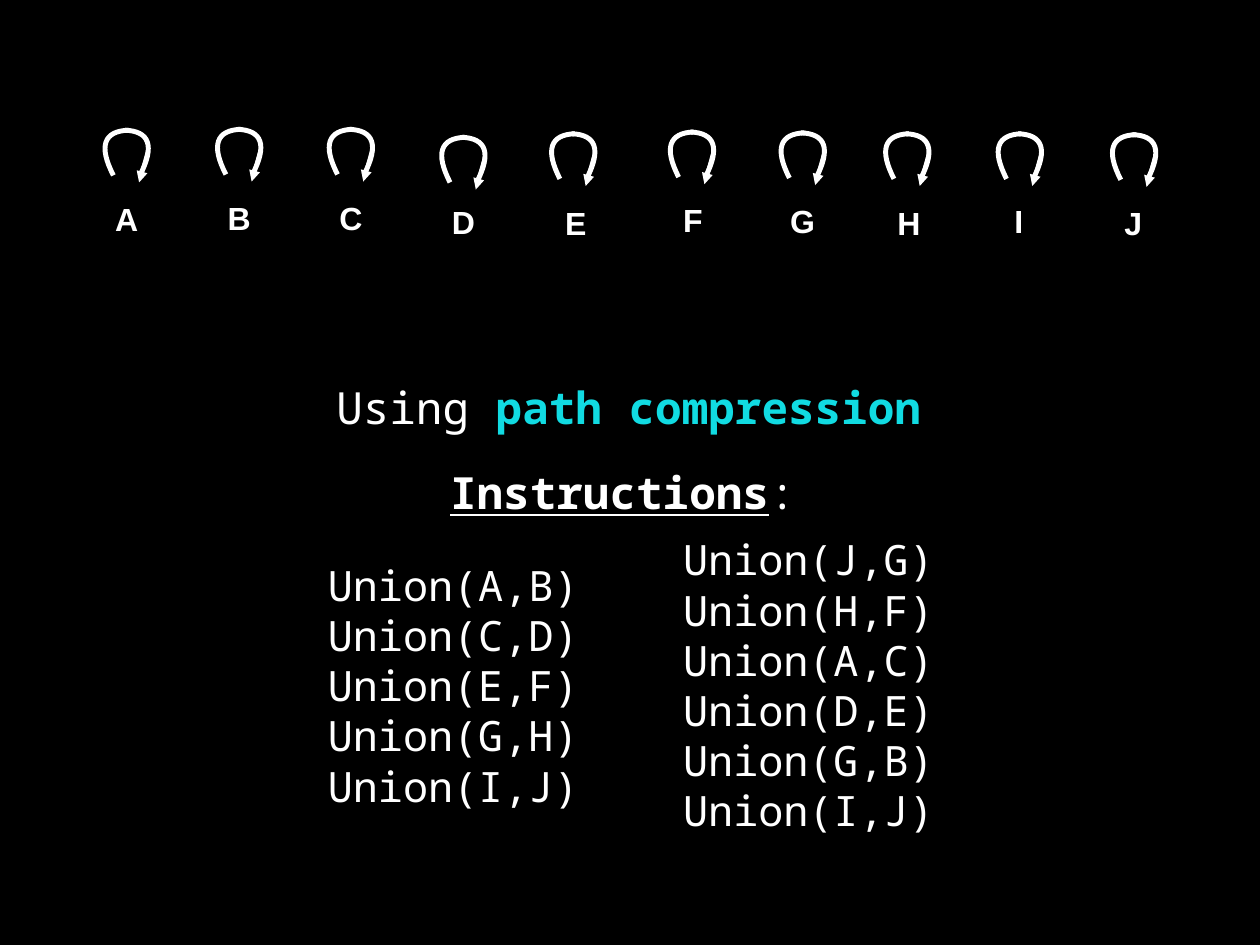
from dataclasses import dataclass

import lxml.etree
import pptx
import pptx.dml.color
import pptx.enum.shapes
import pptx.enum.text
import pptx.oxml.ns
import pptx.shapes.autoshape
import pptx.slide
import pptx.text.text
import pptx.util

Inches = pptx.util.Inches
RGBColor = pptx.dml.color.RGBColor
ALIGN = pptx.enum.text.PP_ALIGN
qn = pptx.oxml.ns.qn


@dataclass(frozen=True)
class Theme:
    background: RGBColor = RGBColor(0x00, 0x00, 0x00)
    foreground: RGBColor = RGBColor(0xFF, 0xFF, 0xFF)
    accent: RGBColor = RGBColor(0x11, 0xDB, 0xE2)
    code_font: str = "Noto Sans Mono"
    label_font: str = "Arial"
    heading_size: int = 36
    list_size: int = 34
    label_size: int = 26
    loop_width: int = 4
    arrow_width: int = 3


@dataclass(frozen=True)
class Node:
    name: str
    left: float
    top: float
    loop_center: float
    loop_top: float


@dataclass(frozen=True)
class Box:
    left: float
    top: float
    width: float
    height: float


@dataclass(frozen=True)
class Span:
    text: str
    color: RGBColor | None = None
    bold: bool = False
    underline: bool = False


THEME = Theme()
NODE_SIZE = 0.7
MARGIN = 0.06
LOOP_START = (-0.02, 0)
LOOP_WIDEST = (0.24, 0.25)
LOOP_END = (0.15, 0.51)
LOOP_HANDLES = ((0.26, 0.01), (0.32, 0.18))
ARROW_START = (0.24, 0.23)
ARROW_END = (0.14, 0.59)

NODES = (
    Node("A", 1.08, 2.12, 1.43, 1.47),
    Node("B", 2.35, 2.11, 2.7, 1.46),
    Node("C", 3.61, 2.11, 3.96, 1.46),
    Node("D", 4.88, 2.15, 5.23, 1.55),
    Node("E", 6.15, 2.16, 6.47, 1.51),
    Node("F", 7.47, 2.13, 7.81, 1.49),
    Node("G", 8.71, 2.14, 9.06, 1.5),
    Node("H", 9.91, 2.16, 10.24, 1.51),
    Node("I", 11.15, 2.14, 11.51, 1.51),
    Node("J", 12.44, 2.16, 12.8, 1.52),
)

TITLE_BOX = Box(3.72, 4.25, 6.75, 0.68)
TITLE = (Span("Using "), Span("path compression", THEME.accent, bold=True))
HEADING_BOX = Box(5.01, 5.21, 4.04, 0.68)
HEADING = (Span("Instructions", bold=True, underline=True), Span(":"))
UNION_LISTS = (
    (Box(3.64, 6.29, 3.82, 2.89), ("AB", "CD", "EF", "GH", "IJ")),
    (Box(7.65, 6.01, 4.34, 3.44), ("JG", "HF", "AC", "DE", "GB", "IJ")),
)


def place(shape: pptx.shapes.autoshape.Shape, box: Box) -> None:
    shape.left, shape.top = Inches(box.left), Inches(box.top)
    shape.width, shape.height = Inches(box.width), Inches(box.height)


def format_frame(frame: pptx.text.text.TextFrame, wrap: bool, grow: bool) -> None:
    frame.margin_left = frame.margin_right = Inches(MARGIN)
    frame.margin_top = frame.margin_bottom = Inches(MARGIN)
    frame.vertical_anchor = pptx.enum.text.MSO_ANCHOR.MIDDLE
    frame.word_wrap = wrap
    sizing = pptx.enum.text.MSO_AUTO_SIZE
    frame.auto_size = sizing.SHAPE_TO_FIT_TEXT if grow else sizing.NONE


def set_font(para: pptx.text.text._Paragraph, name: str, size: int) -> None:
    para.font.name = name
    para.font.size = pptx.util.Pt(size)
    para.font.color.rgb = THEME.foreground


def fill_heading(shape: pptx.shapes.autoshape.Shape, box: Box, spans: tuple[Span, ...]) -> None:
    place(shape, box)
    format_frame(shape.text_frame, wrap=False, grow=True)
    para = shape.text_frame.paragraphs[0]
    para.alignment = ALIGN.CENTER
    set_font(para, THEME.code_font, THEME.heading_size)
    for span in spans:
        run = para.add_run()
        run.text = span.text
        run.font.bold = span.bold
        run.font.underline = span.underline
        if span.color is not None:
            run.font.color.rgb = span.color


def fill_union_list(shape: pptx.shapes.autoshape.Shape, box: Box, pairs: tuple[str, ...]) -> None:
    place(shape, box)
    frame = shape.text_frame
    format_frame(frame, wrap=True, grow=True)
    frame.text = "\n".join(f"Union({first},{second})" for first, second in pairs)
    for para in frame.paragraphs:
        properties = para._p.get_or_add_pPr()
        properties.set("marL", "0")
        properties.set("indent", "0")
        lxml.etree.SubElement(properties, qn("a:buNone"))
        para.space_before = pptx.util.Pt(0)
        para.alignment = ALIGN.LEFT
        set_font(para, THEME.code_font, THEME.list_size)


def draw_label(slide: pptx.slide.Slide, node: Node) -> None:
    circle = slide.shapes.add_shape(
        pptx.enum.shapes.MSO_SHAPE.OVAL,
        Inches(node.left), Inches(node.top), Inches(NODE_SIZE), Inches(NODE_SIZE),
    )
    circle.shadow.inherit = False
    circle.fill.background()
    circle.line.fill.background()
    format_frame(circle.text_frame, wrap=True, grow=False)
    para = circle.text_frame.paragraphs[0]
    para.text = node.name
    para.alignment = ALIGN.CENTER
    set_font(para, THEME.label_font, THEME.label_size)
    para.font.bold = True


def draw_loop_half(slide: pptx.slide.Slide, node: Node, side: int) -> None:
    def locate(point: tuple[float, float]) -> tuple[int, int]:
        return Inches(node.loop_center + side * point[0]), Inches(node.loop_top + point[1])

    builder = slide.shapes.build_freeform(*locate(LOOP_START))
    builder.add_line_segments([locate(LOOP_WIDEST), locate(LOOP_END)], close=False)
    half = builder.convert_to_shape()
    half.shadow.inherit = False
    half.fill.background()
    half.line.color.rgb = THEME.foreground
    half.line.width = pptx.util.Pt(THEME.loop_width)

    outline = next(half._element.iter(qn("a:path")))
    for segment in outline.findall(qn("a:lnTo")):
        outline.remove(segment)
    curve = lxml.etree.SubElement(outline, qn("a:cubicBezTo"))
    for x, y in map(locate, (*LOOP_HANDLES, LOOP_END)):
        lxml.etree.SubElement(curve, qn("a:pt"), x=str(x - half.left), y=str(y - half.top))


def draw_arrow(slide: pptx.slide.Slide, node: Node) -> None:
    ends = [
        Inches(value)
        for x, y in (ARROW_START, ARROW_END)
        for value in (node.loop_center + x, node.loop_top + y)
    ]
    arrow = slide.shapes.add_connector(pptx.enum.shapes.MSO_CONNECTOR.STRAIGHT, *ends)
    arrow.line.color.rgb = THEME.foreground
    arrow.line.width = pptx.util.Pt(THEME.arrow_width)
    lxml.etree.SubElement(arrow.line._get_or_add_ln(), qn("a:tailEnd"), type="triangle")
    lxml.etree.SubElement(arrow._element.spPr, qn("a:effectLst"))


def main() -> None:
    deck = pptx.Presentation()
    deck.slide_width, deck.slide_height = Inches(14.22), Inches(10.67)
    slide = deck.slides.add_slide(deck.slide_layouts.get_by_name("Two Content"))
    slide.background.fill.solid()
    slide.background.fill.fore_color.rgb = THEME.background

    for node in NODES:
        draw_label(slide, node)
        for side in (-1, 1):
            draw_loop_half(slide, node, side)
        draw_arrow(slide, node)

    fill_heading(slide.shapes.title, TITLE_BOX, TITLE)
    heading = slide.shapes.add_textbox(0, 0, 0, 0)
    fill_heading(heading, HEADING_BOX, HEADING)
    for index, (box, pairs) in enumerate(UNION_LISTS, start=1):
        fill_union_list(slide.placeholders[index], box, pairs)

    deck.save("out.pptx")


if __name__ == "__main__":
    main()
